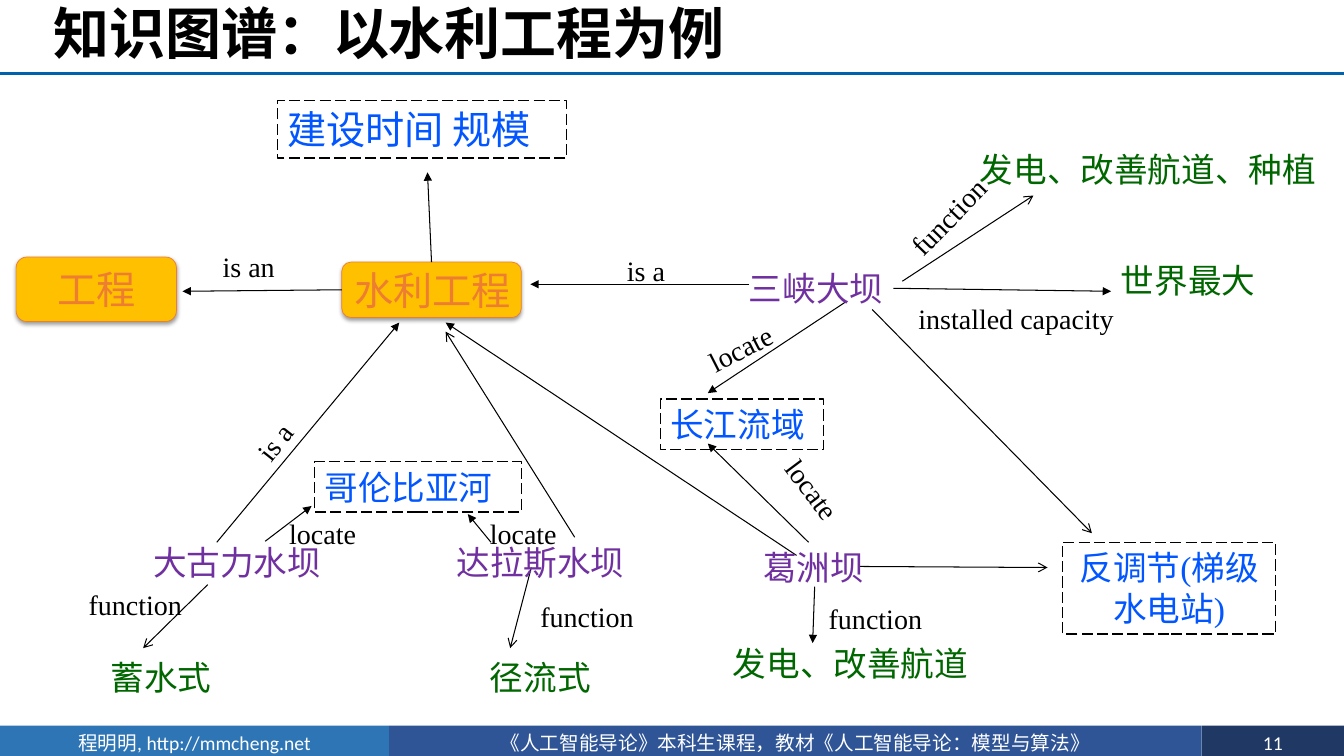
from lxml import etree
from pptx import Presentation
from pptx.dml.color import RGBColor
from pptx.enum.dml import MSO_LINE
from pptx.enum.shapes import MSO_CONNECTOR, MSO_SHAPE
from pptx.enum.text import MSO_ANCHOR, PP_ALIGN
from pptx.oxml.ns import nsdecls, qn
from pptx.oxml import parse_xml
from pptx.util import Inches, Pt

RECT, ROUNDED = MSO_SHAPE.RECTANGLE, MSO_SHAPE.ROUNDED_RECTANGLE
STRAIGHT, DASH = MSO_CONNECTOR.STRAIGHT, MSO_LINE.LONG_DASH
LEFT, CENTER = PP_ALIGN.LEFT, PP_ALIGN.CENTER
TOP, MIDDLE = MSO_ANCHOR.TOP, MSO_ANCHOR.MIDDLE
SIDE_TOP, SIDE_LEFT = 0, 1

THEME = {
    "body": "Times New Roman", "heading": "Calibri",
    "black": "000000", "white": "FFFFFF", "rule": "0062AC",
    "dam": "7030A0", "fact": "006600", "attribute": "0156FF",
    "concept": "ED7D31", "concept_fill": "FFC000",
    "title_size": 40, "concept_size": 28, "node_size": 24,
    "relation_size": 20, "footer_size": 14,
}

# Content
TITLE = "知识图谱：以水利工程为例"
FOOTER = [  # text, width, fill
    ("程明明, http://mmcheng.net", 3.86, "2E75B6"),
    ("《人工智能导论》本科生课程，教材《人工智能导论：模型与算法》", 8.06, "2F5597"),
    ("11", 1.41, "203864"),
]
CONCEPTS = [  # text, left, top, width, height, alignment
    ("工程", 0.16, 2.55, 1.59, 0.64, CENTER),
    ("水利工程", 3.39, 2.6, 1.78, 0.55, LEFT),
]
ATTRIBUTES = [  # text, left, top, width, height, size, alignment
    ("建设时间 规模", 2.75, 1, 2.87, 0.57, "concept_size", LEFT),
    ("长江流域", 6.55, 3.96, 1.62, 0.5, "node_size", LEFT),
    ("哥伦比亚河", 3.12, 4.58, 2.05, 0.5, "node_size", LEFT),
    ("反调节(梯级水电站)", 10.54, 5.38, 2.11, 0.91, "node_size", CENTER),
]
NODES = {  # kind: text, left, top, width
    "dam": [
        ("三峡大坝", 7.33, 2.61, 2.13),
        ("葛洲坝", 7.47, 5.38, 2.13),
        ("大古力水坝", 1.42, 5.33, 2.13),
        ("达拉斯水坝", 4.43, 5.33, 2.13),
    ],
    "fact": [
        ("发电、改善航道、种植", 9.62, 1.43, 3.59),
        ("世界最大", 11.02, 2.53, 2.13),
        ("发电、改善航道", 7.17, 6.33, 2.71),
        ("蓄水式", 1, 6.47, 1.37),
        ("径流式", 4.76, 6.47, 1.37),
    ],
}
RELATIONS = [  # text, left, top, width, rotation
    ("is an", 2.11, 2.43, 2.13, 0),
    ("is a", 6.12, 2.47, 2.13, 0),
    ("is a", 2.2, 3.68, 1.82, 308.4),
    ("function", 8.75, 1.71, 1.74, 314.2),
    ("installed capacity", 9.01, 2.94, 2.18, 0),
    ("locate", 6.91, 3.22, 0.94, 332.9),
    ("locate", 7.61, 4.67, 0.94, 53.1),
    ("locate", 2.77, 5.07, 1.26, 0),
    ("locate", 4.76, 5.07, 1.26, 0),
    ("function", 0.78, 5.78, 1.29, 0),
    ("function", 5.26, 5.9, 1.29, 0),
    ("function", 8.12, 5.92, 1.29, 0),
]
ARROWS = {  # head: (from x, from y, to x, to y)
    "triangle": [
        (7.43, 2.82, 5.26, 2.82), (8.86, 2.86, 11.02, 2.89),
        (2.15, 5.38, 3.96, 3.2), (7.9, 5.51, 4.42, 3.2),
        (8.02, 5.38, 7.02, 4.4), (8.38, 3, 7.02, 3.9),
        (8.08, 5.82, 8.06, 6.38), (2.63, 5.37, 3.09, 5.02),
        (4.87, 5.38, 4.64, 5.1),
    ],
    "arrow": [
        (8.53, 5.62, 10.39, 5.63), (8.65, 3.07, 10.83, 5.29),
        (8.95, 2.79, 10.25, 1.94), (2.06, 5.8, 1.42, 6.43),
        (5.7, 5.33, 4.42, 3.29), (5.27, 5.63, 5.06, 6.43),
    ],
}
CONCEPT_ARROWS = [  # start side on 水利工程, from x, from y, to x, to y
    (SIDE_LEFT, 3.39, 2.87, 1.81, 2.89),
    (SIDE_TOP, 4.28, 2.6, 4.24, 1.71),
]

prs = Presentation()
prs.slide_width, prs.slide_height = Inches(13.33), Inches(7.5)
s = prs.slides.add_slide(prs.slide_layouts[6])


def color(name):
    return RGBColor.from_string(THEME.get(name, name))


def write(sp, text, size, ink, font="body", align=LEFT, anchor=TOP, bold=False):
    tf = sp.text_frame
    tf.word_wrap, tf.vertical_anchor = True, anchor
    p = tf.paragraphs[0]
    p.text, p.alignment = text, align
    p.font.name, p.font.size, p.font.bold = THEME[font], Pt(THEME[size]), bold
    p.font.color.rgb = color(ink)
    return tf


def add_label(text, left, top, width, height, size, ink, **style):
    sp = s.shapes.add_textbox(*map(Inches, (left, top, width, height)))
    write(sp, text, size, ink, **style)
    return sp


def add_box(kind, left, top, width, height, fill=None, line=None, line_width=1):
    sp = s.shapes.add_shape(kind, *map(Inches, (left, top, width, height)))
    sp.shadow.inherit = False
    if fill:
        sp.fill.solid()
        sp.fill.fore_color.rgb = color(fill)
    else:
        sp.fill.background()
    if line:
        sp.line.color.rgb, sp.line.width = color(line), Pt(line_width)
    else:
        sp.line.fill.background()
    return sp


def add_line(x1, y1, x2, y2, ink="black", width=0.75, head=None):
    cx = s.shapes.add_connector(STRAIGHT, *map(Inches, (x1, y1, x2, y2)))
    cx.line.color.rgb, cx.line.width = color(ink), Pt(width)
    if head:
        etree.SubElement(cx.line._get_or_add_ln(), qn("a:tailEnd"), type=head)
    etree.SubElement(cx._element.spPr, qn("a:effectLst"))
    return cx


# Footer and title
left = 0
for text, width, fill in FOOTER:
    sp = add_box(RECT, left, 7.2, width, 0.34, fill)
    write(sp, text, "footer_size", "white", "heading", CENTER)
    left += width
add_line(0, 0.73, 13.33, 0.73, "rule", 2)
title = add_label(TITLE, 0.43, 0, 12.9, 0.73, "title_size", "black",
                  font="heading", anchor=MIDDLE, bold=True)
title.text_frame.paragraphs[0].line_spacing = 0.9

# Concept boxes with a soft shadow
concepts = {}
for text, *place, align in CONCEPTS:
    sp = add_box(ROUNDED, *place, "concept_fill", "concept", 0.5)
    tf = write(sp, text, "concept_size", "concept", align=align, anchor=MIDDLE)
    tf.word_wrap = False
    tf.margin_top = tf.margin_bottom = 0
    sp._element.spPr.find(qn("a:effectLst")).append(parse_xml(
        f'<a:outerShdw {nsdecls("a")} blurRad="{Pt(3.1)}" dist="{Pt(1.6)}" '
        'dir="5400000" rotWithShape="0"><a:srgbClr val="000000">'
        '<a:alpha val="38000"/></a:srgbClr></a:outerShdw>'))
    concepts[text] = sp

# Arrows
for side, *ends in CONCEPT_ARROWS:
    add_line(*ends, head="triangle").begin_connect(concepts["水利工程"], side)
for head, arrows in ARROWS.items():
    for ends in arrows:
        add_line(*ends, head=head)

# Dashed attribute boxes
for text, *place, size, align in ATTRIBUTES:
    sp = add_box(RECT, *place, line="black")
    sp.line.dash_style = DASH
    write(sp, text, size, "attribute", align=align)

# Dams, facts and relation names
for kind, nodes in NODES.items():
    for text, left, top, width in nodes:
        add_label(text, left, top, width, 0.5, "node_size", kind)
for text, left, top, width, angle in RELATIONS:
    add_label(text, left, top, width, 0.44, "relation_size", "black").rotation = angle

prs.save("out.pptx")
